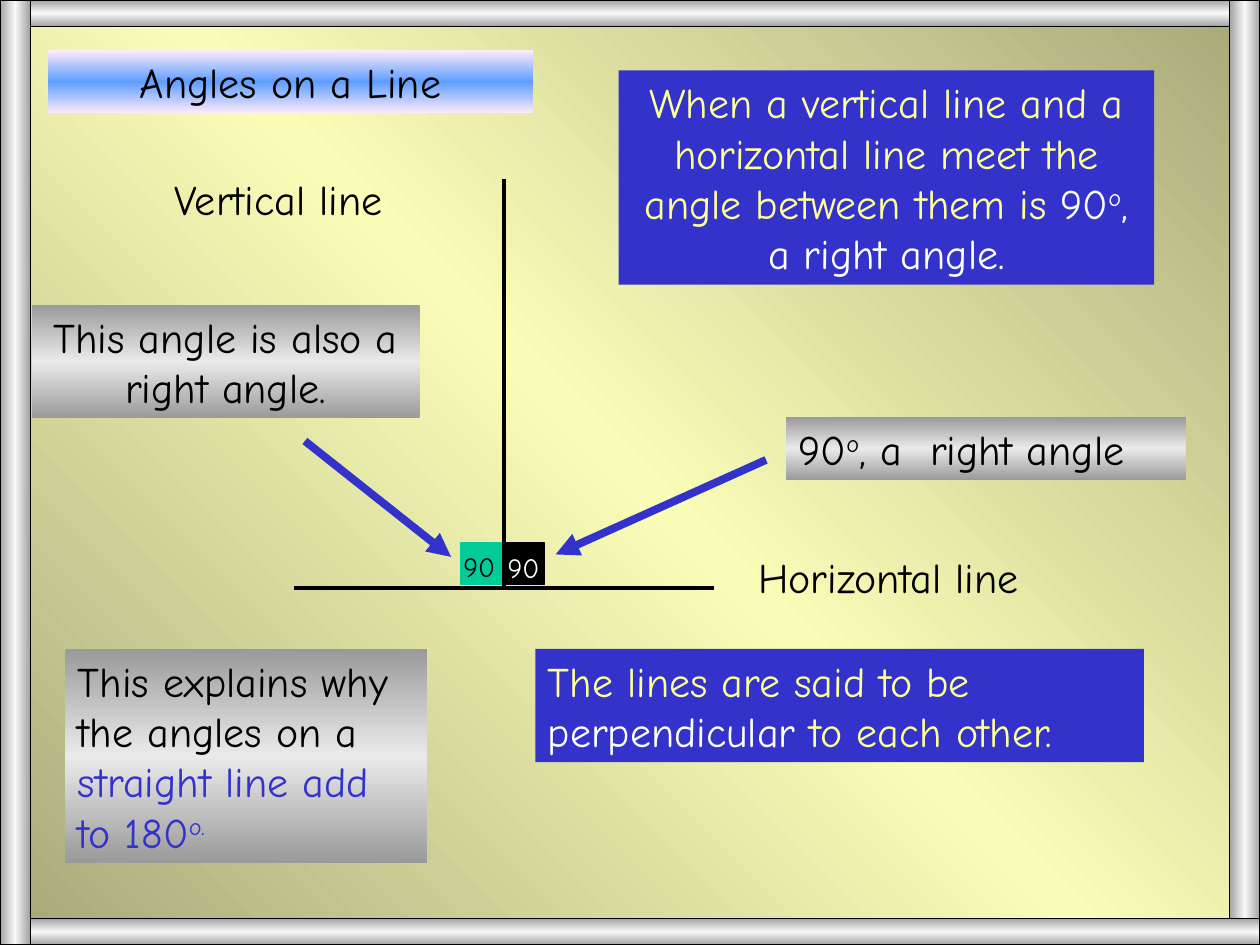
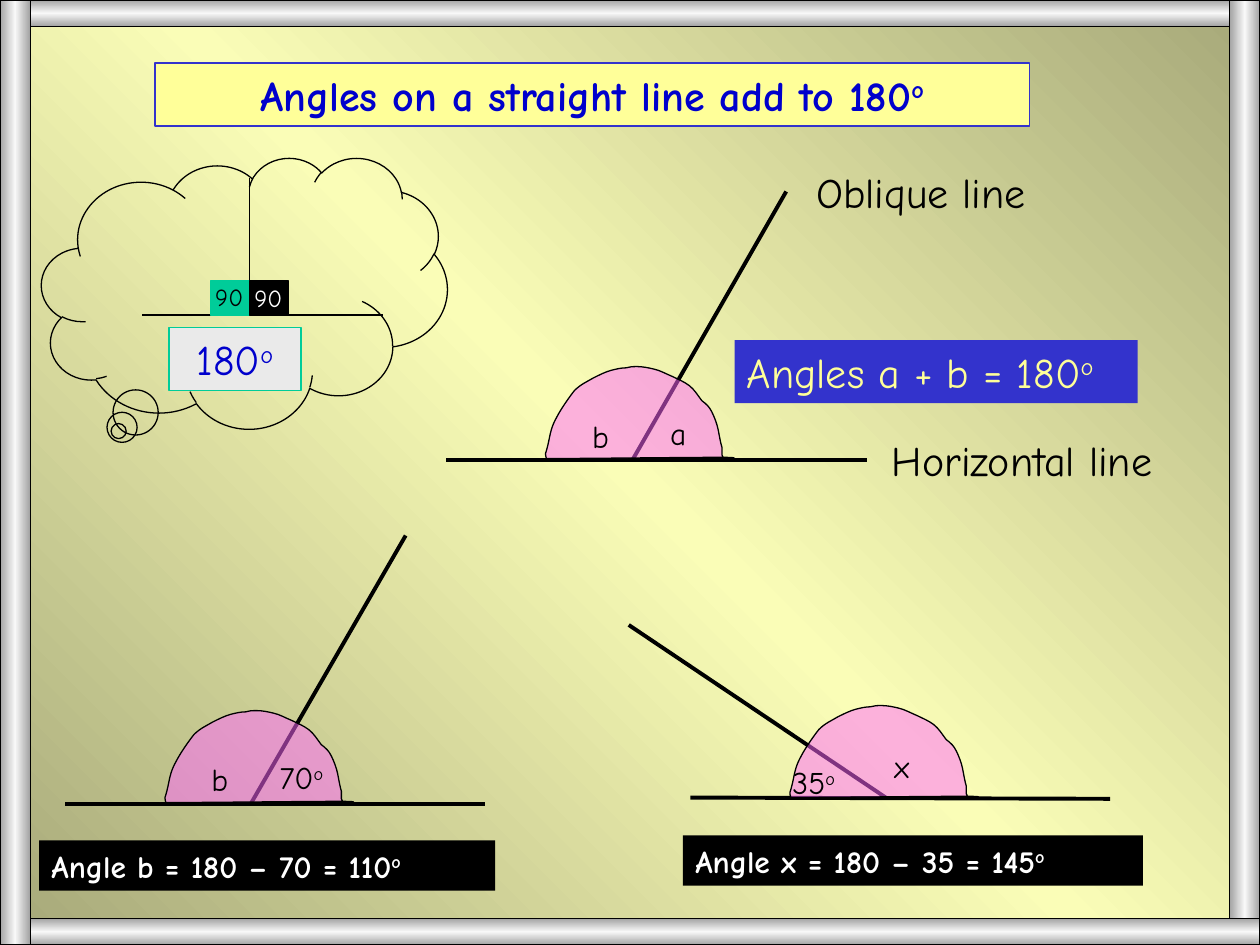
from copy import deepcopy
from dataclasses import dataclass
from typing import NamedTuple

from lxml import etree
from pptx import Presentation
from pptx.dml.color import RGBColor
from pptx.enum import shapes, text
from pptx.oxml import ns
from pptx.util import Inches, Pt


@dataclass(frozen=True)
class Theme:
    font: str = "Comic Neue"
    black: str = "000000"
    white: str = "FFFFFF"
    blue: str = "3333CC"
    deep_blue: str = "0000CC"
    yellow: str = "FFFF99"
    green: str = "00CC99"
    pink: str = "FF66FF"
    pale_grey: str = "EAEAEA"
    paper: tuple[str, str] = ("A5A778", "FAFDB7")
    steel: tuple[str, str] = ("A3A3A3", "F8F8F8")
    silver: tuple[str, str] = ("9A9A9A", "EAEAEA")
    sky: tuple[str, str] = ("FFEBFA", "5E9EFF")
    body: float = 24
    label: float = 18
    small: float = 16
    tiny: float = 14
    thin: float = 0.75
    medium: float = 2.25
    thick: float = 4.5


THEME = Theme()
Fill = str | tuple[str, str] | None
Point = tuple[float, float]


class Run(NamedTuple):
    text: str
    color: str | None = None
    raised: bool = False


DEGREE = Run("o", raised=True)


@dataclass(frozen=True)
class Box:
    left: float
    top: float
    width: float
    height: float
    runs: tuple[Run, ...] = ()
    fill: Fill = None
    line: str | None = None
    color: str = THEME.black
    size: float = THEME.body
    bold: bool = False
    centered: bool = False
    angle: float = 90


@dataclass(frozen=True)
class AngleFigure:
    base: tuple[Point, Point]
    arm: tuple[Point, Point]
    arc: Point
    labels: tuple[Box, ...]
    answer: Box


# Cubic curve points of the half-disc, in hundredths of an inch.
ARC_START = (23, 73)
ARC_POINTS = [
    (0, 74), (23, 74), (22, 74), (22, 73), (21, 72), (21, 69),
    (22, 66), (23, 62), (24, 57), (25, 52), (26, 47), (30, 40),
    (33, 34), (40, 24), (44, 19), (49, 14), (54, 12), (59, 9),
    (63, 7), (69, 4), (73, 3), (77, 2), (81, 1), (85, 1),
    (88, 0), (90, 0), (94, 0), (98, 0), (103, 1), (107, 2),
    (112, 3), (117, 6), (122, 8), (126, 10), (131, 12), (135, 15),
    (139, 18), (142, 23), (145, 27), (149, 30), (151, 32), (153, 36),
    (155, 40), (157, 45), (158, 50), (159, 55), (160, 61), (161, 64),
    (161, 67), (161, 68), (161, 70), (162, 71), (162, 73), (162, 73),
    (162, 74), (183, 72), (160, 72), (137, 72), (47, 73), (23, 73),
]


def rgb(color: str) -> RGBColor:
    return RGBColor.from_string(color)


def apply_gradient(fill, element, colors: tuple[str, str], angle: float) -> None:
    """Fill with an edge colour at both ends and another in the middle."""
    edge, middle = colors
    fill.gradient()
    fill.gradient_angle = 360 - angle
    stop_list = next(element.iter(ns.qn("a:gsLst")))
    stop_list.insert(1, deepcopy(stop_list[0]))
    for stop, position, color in zip(fill.gradient_stops, (0, 0.5, 1), (edge, middle, edge)):
        stop.position = position
        stop.color.rgb = rgb(color)


def style_shape(shape, fill: Fill, line: str | None, angle: float = 90) -> None:
    shape.shadow.inherit = False
    if fill is None:
        shape.fill.background()
    elif isinstance(fill, tuple):
        apply_gradient(shape.fill, shape.element, fill, angle)
    else:
        shape.fill.solid()
        shape.fill.fore_color.rgb = rgb(fill)
    if line is None:
        shape.line.fill.background()
    else:
        shape.line.color.rgb = rgb(line)
        shape.line.width = Pt(THEME.thin)


def write_runs(shape, box: Box) -> None:
    frame = shape.text_frame
    frame.word_wrap = True
    frame.auto_size = text.MSO_AUTO_SIZE.SHAPE_TO_FIT_TEXT
    frame.vertical_anchor = text.MSO_ANCHOR.TOP
    paragraph = frame.paragraphs[0]
    paragraph.alignment = text.PP_ALIGN.CENTER if box.centered else text.PP_ALIGN.LEFT
    paragraph.font.name = THEME.font
    paragraph.font.size = Pt(box.size)
    paragraph.font.bold = box.bold
    same_color = all(part.color is None for part in box.runs)
    if same_color:
        paragraph.font.color.rgb = rgb(box.color)
    for part in box.runs:
        run = paragraph.add_run()
        run.text = part.text
        if not same_color:
            run.font.color.rgb = rgb(part.color or box.color)
        if part.raised:
            run.font._element.set("baseline", "30000")


def draw_box(slide, box: Box) -> None:
    place = [Inches(value) for value in (box.left, box.top, box.width, box.height)]
    if box.fill is None and box.line is None:
        shape = slide.shapes.add_textbox(*place)
    else:
        shape = slide.shapes.add_shape(shapes.MSO_SHAPE.RECTANGLE, *place)
        style_shape(shape, box.fill, box.line, box.angle)
    if box.runs:
        write_runs(shape, box)


def draw_line(slide, start: Point, end: Point, width: float = THEME.medium,
              color: str = THEME.black, arrow: bool = False) -> None:
    ends = [Inches(value) for value in (*start, *end)]
    connector = slide.shapes.add_connector(shapes.MSO_CONNECTOR.STRAIGHT, *ends)
    connector.line.color.rgb = rgb(color)
    connector.line.width = Pt(width)
    if arrow:
        outline = next(connector.element.iter(ns.qn("a:ln")))
        etree.SubElement(outline, ns.qn("a:tailEnd"), type="triangle")
    etree.SubElement(connector.element.spPr, ns.qn("a:effectLst"))


def draw_arc(slide, left: float, top: float) -> None:
    builder = slide.shapes.build_freeform(*ARC_START, scale=Inches(0.01))
    builder.add_line_segments(ARC_POINTS, close=True)
    shape = builder.convert_to_shape(Inches(left), Inches(top))
    style_shape(shape, THEME.pink, THEME.black)
    color = next(shape.element.iter(ns.qn("a:srgbClr")))
    etree.SubElement(color, ns.qn("a:alpha"), val="50000")
    # Each three straight segments carry the points of one cubic curve.
    segments = list(shape.element.iter(ns.qn("a:lnTo")))
    for first in range(0, len(segments), 3):
        curve = etree.Element(ns.qn("a:cubicBezTo"))
        segments[first].addprevious(curve)
        for segment in segments[first:first + 3]:
            curve.append(segment[0])
            segment.getparent().remove(segment)


def draw_figure(slide, figure: AngleFigure) -> None:
    draw_line(slide, *figure.base)
    draw_line(slide, *figure.arm)
    draw_arc(slide, *figure.arc)
    for box in (*figure.labels, figure.answer):
        draw_box(slide, box)


def draw_right_angles(slide, middle: float, top: float, width: float, height: float,
                      label_places: tuple[Point, Point], size: float) -> None:
    """Draw the green and black squares that meet at the vertical line."""
    sides = ((middle - width, THEME.green, THEME.black), (middle, THEME.black, THEME.white))
    for (left, fill, color), place in zip(sides, label_places):
        draw_box(slide, Box(left, top, width, height, fill=fill, line=fill))
        draw_box(slide, Box(*place, 0.59, 0.36, (Run("90"),), color=color, size=size))


def line_name(left: float, top: float, name: str) -> Box:
    return Box(left, top, 2.75, 0.5, (Run(name),))


def angle_label(left: float, top: float, *runs: Run) -> Box:
    return Box(left, top, 0.75, 0.4, runs, size=THEME.label)


def answer_box(left: float, top: float, width: float, sum_text: str) -> Box:
    return Box(left, top, width, 0.4, (Run(sum_text), DEGREE), THEME.black,
               color=THEME.white, size=THEME.label, bold=True)


def add_slide(presentation):
    slide = presentation.slides.add_slide(presentation.slide_layouts[6])
    apply_gradient(slide.background.fill, slide.element, THEME.paper, 135)
    return slide


def draw_frame(slide) -> None:
    for place, angle in (((0, 0, 10, 0.21), 90), ((9.76, 0, 0.24, 7.5), 180),
                         ((0, 7.29, 10, 0.21), 90), ((0, 0, 0.24, 7.5), 180)):
        draw_box(slide, Box(*place, fill=THEME.steel, line=THEME.black, angle=angle))


RIGHT_ANGLE_BOXES = (
    line_name(5.92, 4.33, "Horizontal line"),
    line_name(1.29, 1.33, "Vertical line"),
    Box(4.25, 5.15, 4.83, 0.9,
        (Run("The lines are said to be "), Run("perpendicular ", THEME.white),
         Run("to each other.")), THEME.blue, color=THEME.yellow),
    Box(4.91, 0.56, 4.25, 1.7,
        (Run("When a vertical line and a horizontal line meet the angle between them is "),
         Run("90", THEME.white), Run("o", THEME.white, True),
         Run(", a right angle.", THEME.white)),
        THEME.blue, color=THEME.yellow, centered=True),
    Box(6.24, 3.31, 3.17, 0.5, (Run("90"), DEGREE, Run(", a  right angle")), THEME.silver),
    Box(0.25, 2.42, 3.08, 0.9, (Run("This angle is also a right angle."),),
        THEME.silver, centered=True),
    Box(0.52, 5.15, 2.87, 1.7,
        (Run("This explains why the angles on a "),
         Run("straight line add to 180", THEME.blue), Run("o.", THEME.blue, True)),
        THEME.silver),
    Box(0.38, 0.4, 3.85, 0.5, (Run("Angles on a Line"),), THEME.sky, centered=True),
)

ANGLE_FIGURES = (
    AngleFigure(((3.54, 3.65), (6.88, 3.65)), ((5.02, 3.65), (6.24, 1.52)), (4.12, 2.91),
                (angle_label(5.22, 3.24, Run("a")), angle_label(4.6, 3.26, Run("b"))),
                Box(5.83, 2.7, 3.2, 0.5, (Run("Angles a + b = 180"), DEGREE),
                    THEME.blue, color=THEME.yellow)),
    AngleFigure(((0.52, 6.38), (3.85, 6.38)), ((1.99, 6.38), (3.22, 4.25)), (1.1, 5.64),
                (angle_label(2.12, 5.97, Run("70"), DEGREE), angle_label(1.58, 5.98, Run("b"))),
                answer_box(0.31, 6.67, 3.62, "Angle b = 180 – 70 = 110")),
    AngleFigure(((5.48, 6.33), (8.81, 6.34)), ((7.03, 6.33), (4.99, 4.96)), (6.06, 5.6),
                (angle_label(7, 5.88, Run("x")), angle_label(6.19, 6.01, Run("35"), DEGREE)),
                answer_box(5.42, 6.63, 3.65, "Angle x = 180 – 35 = 145")),
)


def build_right_angle_slide(presentation) -> None:
    slide = add_slide(presentation)
    draw_line(slide, (2.33, 4.67), (5.67, 4.67))
    draw_line(slide, (4, 4.67), (4, 1.42))
    for box in RIGHT_ANGLE_BOXES:
        draw_box(slide, box)
    for start, end in (((6.08, 3.65), (4.41, 4.4)), ((2.42, 3.5), (3.58, 4.42))):
        draw_line(slide, start, end, THEME.thick, THEME.blue, arrow=True)
    draw_right_angles(slide, 3.99, 4.31, 0.33, 0.33, ((3.58, 4.31), (3.93, 4.32)), THEME.small)
    draw_frame(slide)


def build_straight_line_slide(presentation) -> None:
    slide = add_slide(presentation)
    draw_box(slide, line_name(6.98, 3.4, "Horizontal line"))
    draw_box(slide, line_name(6.38, 1.27, "Oblique line"))
    for figure in ANGLE_FIGURES:
        draw_figure(slide, figure)
    draw_line(slide, (1.13, 2.5), (3.04, 2.5), THEME.thin)
    draw_line(slide, (1.98, 2.5), (1.98, 1.41), THEME.thin)
    draw_right_angles(slide, 1.98, 2.23, 0.31, 0.27, ((1.61, 2.19), (1.92, 2.2)), THEME.tiny)
    cloud = slide.shapes.add_shape(shapes.MSO_SHAPE.CLOUD_CALLOUT, Inches(0.33), Inches(1.25),
                                   Inches(3.22), Inches(2.15))
    cloud.adjustments[0], cloud.adjustments[1] = -0.31, 0.51
    style_shape(cloud, None, THEME.black)
    draw_box(slide, Box(1.23, 0.5, 6.94, 0.5,
                        (Run("Angles on a straight line add to 180"), DEGREE), THEME.yellow,
                        THEME.blue, THEME.deep_blue, bold=True, centered=True))
    draw_box(slide, Box(1.34, 2.6, 1.05, 0.5, (Run("180"), DEGREE), THEME.pale_grey,
                        THEME.green, THEME.deep_blue, centered=True))
    draw_frame(slide)


def main() -> None:
    presentation = Presentation()
    presentation.slide_width, presentation.slide_height = Inches(10), Inches(7.5)
    build_right_angle_slide(presentation)
    build_straight_line_slide(presentation)
    presentation.save("out.pptx")


if __name__ == "__main__":
    main()
